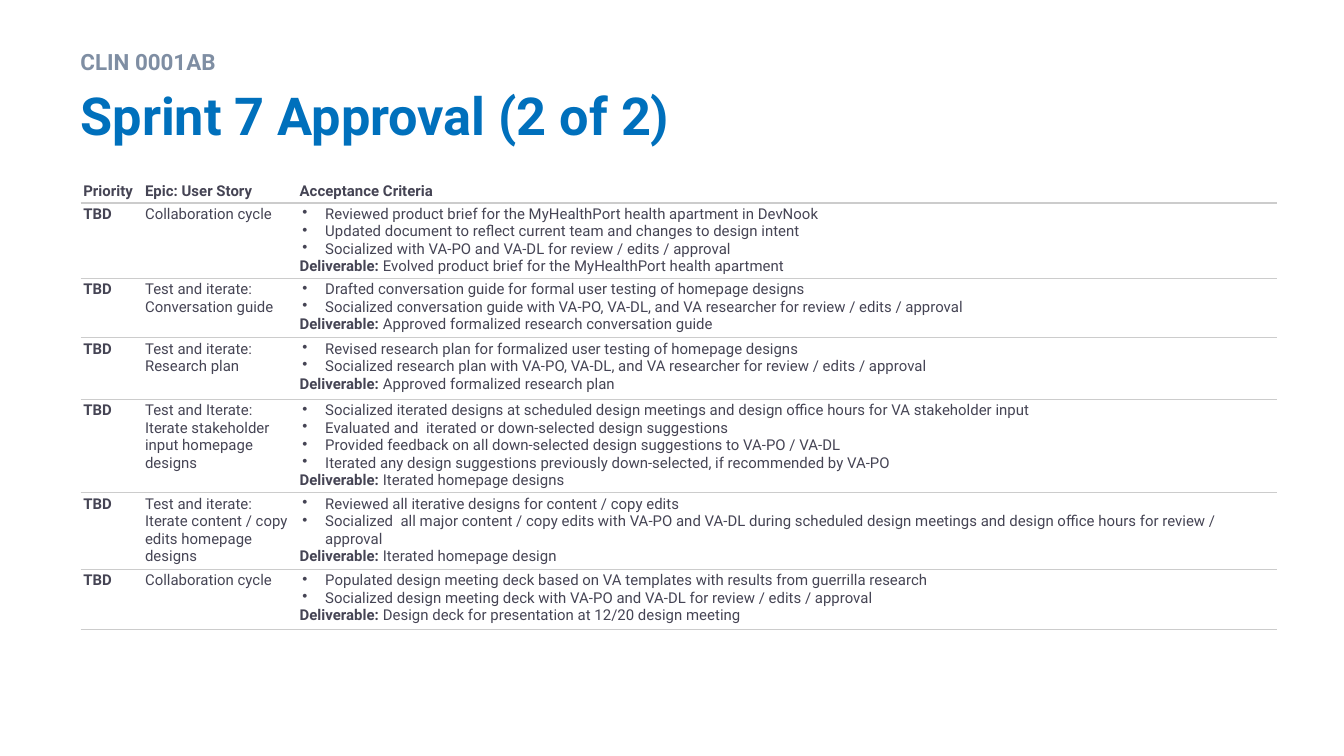
from lxml.etree import SubElement
from pptx import Presentation
from pptx.dml.color import RGBColor
from pptx.enum.text import MSO_ANCHOR as Anchor, PP_ALIGN as Align
from pptx.oxml import parse_xml
from pptx.oxml.ns import nsdecls, qn
from pptx.util import Inches, Pt

FONT = "Roboto"
SLATE = RGBColor(0x7F, 0x8E, 0xA3)
BLUE = RGBColor(0x00, 0x70, 0xBC)
INK = RGBColor(0x45, 0x44, 0x54)
RULE = RGBColor(0xCC, 0xCC, 0xCC)

HEADINGS = ("Priority", "Epic: User Story", "Acceptance Criteria")
COLUMN_WIDTHS = (0.46, 1.15, 7.29)
ROW_HEIGHTS = (0.18, 0.56, 0.44, 0.46, 0.69, 0.57, 0.45)
PRIORITY = "TBD"

# Each story: name, acceptance criteria, deliverable
STORIES = [
    ("Collaboration cycle",
     ["Reviewed product brief for the MyHealthPort health apartment in DevNook",
      "Updated document to reflect current team and changes to design intent",
      "Socialized with VA-PO and VA-DL for review / edits / approval"],
     "Evolved product brief for the MyHealthPort health apartment"),
    ("Test and iterate: Conversation guide",
     ["Drafted conversation guide for formal user testing of homepage designs",
      "Socialized conversation guide with VA-PO, VA-DL, and VA researcher "
      "for review / edits / approval"],
     "Approved formalized research conversation guide"),
    ("Test and iterate: Research plan",
     ["Revised research plan for formalized user testing of homepage designs",
      "Socialized research plan with VA-PO, VA-DL, and VA researcher "
      "for review / edits / approval"],
     "Approved formalized research plan"),
    ("Test and Iterate: Iterate stakeholder input homepage designs",
     ["Socialized iterated designs at scheduled design meetings and design "
      "office hours for VA stakeholder input",
      "Evaluated and  iterated or down-selected design suggestions",
      "Provided feedback on all down-selected design suggestions to VA-PO / VA-DL",
      "Iterated any design suggestions previously down-selected, "
      "if recommended by VA-PO"],
     "Iterated homepage designs"),
    ("Test and iterate: Iterate content / copy edits homepage designs",
     ["Reviewed all iterative designs for content / copy edits",
      "Socialized  all major content / copy edits with VA-PO and VA-DL during "
      "scheduled design meetings and design office hours for review / approval"],
     "Iterated homepage design"),
    ("Collaboration cycle",
     ["Populated design meeting deck based on VA templates with results "
      "from guerrilla research",
      "Socialized design meeting deck with VA-PO and VA-DL for review / edits / approval"],
     "Design deck for presentation at 12/20 design meeting"),
]


def set_attributes(target, values):
    for name, value in values.items():
        setattr(target, name, value)


def add_run(paragraph, text, size=8, color=INK, bold=False):
    run = paragraph.add_run()
    run.text = text
    set_attributes(run.font, {"name": FONT, "size": Pt(size), "bold": bold})
    run.font.color.rgb = color


def set_frame(frame, anchor, bottom=0.05):
    set_attributes(frame, {
        "word_wrap": True, "vertical_anchor": anchor,
        "margin_left": Inches(0.1), "margin_right": Inches(0.1),
        "margin_top": Inches(0.05), "margin_bottom": Inches(bottom)})


def add_eyebrow(slide, text):
    box = slide.shapes.add_textbox(Inches(0.5), Inches(0.27), Inches(9), Inches(0.29))
    set_frame(box.text_frame, Anchor.TOP)
    paragraph = box.text_frame.paragraphs[0]
    paragraph.line_spacing = 1.2
    add_run(paragraph, text, 12, SLATE, True)


def set_title(slide, text):
    title = slide.shapes.title
    set_attributes(title, {"left": Inches(0.5), "top": Inches(0.56),
                           "width": Inches(9), "height": Inches(0.69)})
    set_frame(title.text_frame, Anchor.MIDDLE, bottom=0.16)
    paragraph = title.text_frame.paragraphs[0]
    set_attributes(paragraph, {"alignment": Align.LEFT, "line_spacing": 1.0})
    add_run(paragraph, text, 28, BLUE, True)


def add_bullet(paragraph):
    properties = paragraph._p.get_or_add_pPr()
    properties.set("marL", str(Inches(0.19)))
    properties.set("indent", str(Inches(-0.17)))
    color = SubElement(properties, qn("a:buClr"))
    SubElement(color, qn("a:srgbClr"), val=str(INK))
    SubElement(properties, qn("a:buChar"), char="•")


def set_borders(cell, ruled_sides):
    properties = cell._tc.get_or_add_tcPr()
    for index, side in enumerate("LRTB"):
        fill = (f'<a:solidFill><a:srgbClr val="{RULE}"/></a:solidFill>'
                if side in ruled_sides else "<a:noFill/>")
        line = f'<a:ln{side} {nsdecls("a")} w="{Pt(0.75)}">{fill}</a:ln{side}>'
        properties.insert(index, parse_xml(line))


def format_cell(cell, is_header):
    set_attributes(cell, {
        "margin_left": Inches(0.02), "margin_right": Inches(0.02),
        "margin_top": Inches(0.02),
        "margin_bottom": Inches(0.02 if is_header else 0.01),
        "vertical_anchor": Anchor.BOTTOM if is_header else Anchor.TOP})
    cell.fill.background()
    set_borders(cell, "B" if is_header else "TB")


def fill_criteria(frame, criteria, deliverable):
    paragraph = frame.paragraphs[0]
    for criterion in criteria:
        add_bullet(paragraph)
        add_run(paragraph, criterion)
        paragraph = frame.add_paragraph()
    add_run(paragraph, "Deliverable:", bold=True)
    add_run(paragraph, f" {deliverable}")


def add_story_table(slide):
    table = slide.shapes.add_table(
        len(ROW_HEIGHTS), len(COLUMN_WIDTHS), Inches(0.6), Inches(1.33),
        Inches(sum(COLUMN_WIDTHS)), Inches(sum(ROW_HEIGHTS))).table
    set_attributes(table, {"first_row": False, "horz_banding": False})
    for column, width in zip(table.columns, COLUMN_WIDTHS):
        column.width = Inches(width)
    for index, (row, height) in enumerate(zip(table.rows, ROW_HEIGHTS)):
        row.height = Inches(height)
        for cell in row.cells:
            format_cell(cell, is_header=index == 0)

    # Header row
    for cell, heading in zip(table.rows[0].cells, HEADINGS):
        add_run(cell.text_frame.paragraphs[0], heading, bold=True)

    # One row per story
    for index, (story, criteria, deliverable) in enumerate(STORIES, start=1):
        priority_cell, story_cell, criteria_cell = table.rows[index].cells
        add_run(priority_cell.text_frame.paragraphs[0], PRIORITY, bold=True)
        add_run(story_cell.text_frame.paragraphs[0], story)
        fill_criteria(criteria_cell.text_frame, criteria, deliverable)


def main():
    presentation = Presentation()
    presentation.slide_width = Inches(10)
    presentation.slide_height = Inches(10) * 9 // 16
    slide = presentation.slides.add_slide(presentation.slide_layouts[5])
    add_eyebrow(slide, "CLIN 0001AB")
    set_title(slide, "Sprint 7 Approval (2 of 2)")
    add_story_table(slide)
    presentation.save("out.pptx")


if __name__ == "__main__":
    main()
